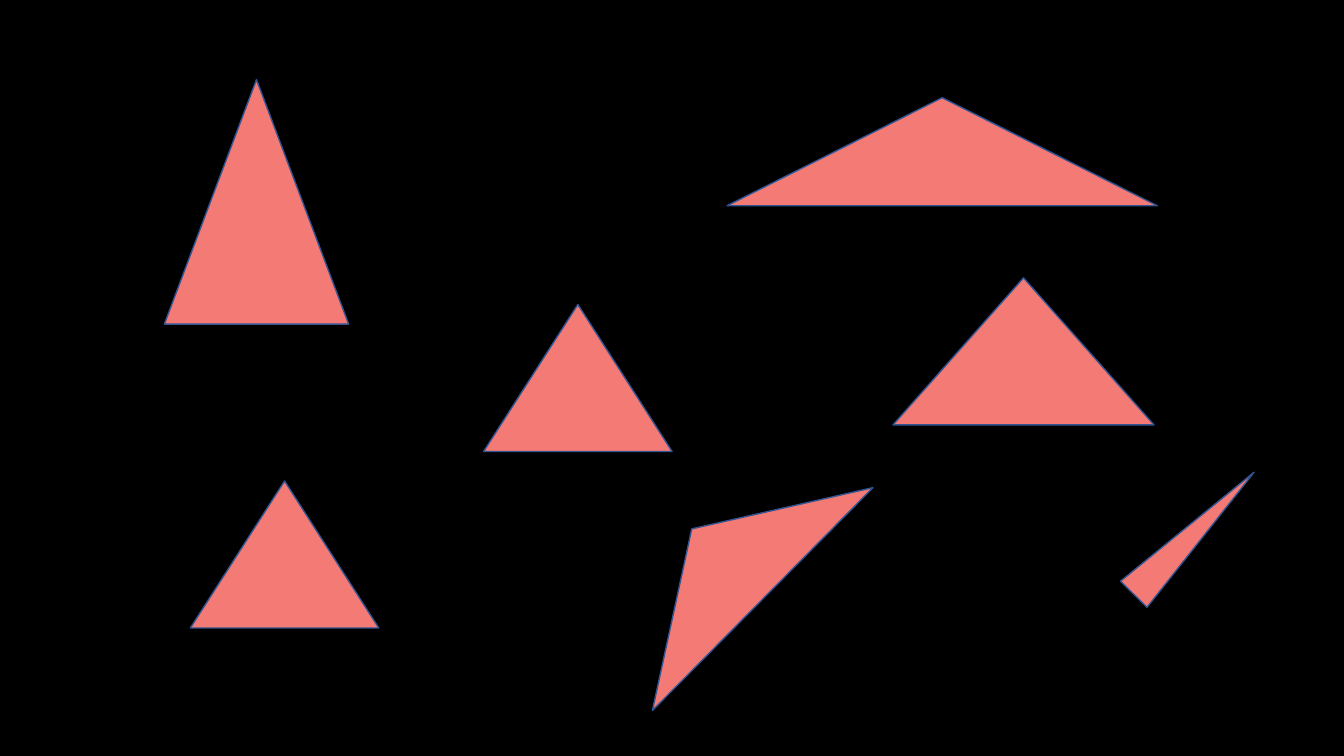
from pptx import Presentation
from pptx.dml.color import RGBColor
from pptx.enum.shapes import MSO_SHAPE as Preset
from pptx.util import Pt

BLACK = RGBColor(0x00, 0x00, 0x00)
CORAL = RGBColor(0xF4, 0x7A, 0x75)
NAVY = RGBColor(0x32, 0x54, 0x91)


class TrianglePage:
    """Holds the style and the current slide."""

    def __init__(self, page, fill=CORAL, outline=NAVY, line_width=1):
        self.page = page
        self.fill = fill
        self.outline = outline
        self.line_width = line_width

    def background(self, color):
        fill = self.page.background.fill
        fill.solid()
        fill.fore_color.rgb = color

    def triangle(self, left, top, width, height, rotation=0):
        shape = self.page.shapes.add_shape(
            Preset.ISOSCELES_TRIANGLE, Pt(left), Pt(top), Pt(width), Pt(height))
        shape.rotation = rotation
        shape.shadow.inherit = False
        shape.fill.solid()
        shape.fill.fore_color.rgb = self.fill
        shape.line.color.rgb = self.outline
        shape.line.width = Pt(self.line_width)


deck = Presentation()
deck.slide_width, deck.slide_height = Pt(960), Pt(540)
blank_layout = deck.slide_layouts[6]
triangles = TrianglePage(deck.slides.add_slide(blank_layout))
triangles.background(BLACK)

# Triangles from back to front; three share a height, two a whole size
MEDIUM_HEIGHT = 105
MEDIUM_SIZE = (134.6, MEDIUM_HEIGHT)

triangles.triangle(117.4, 56.9, 131.6, 174.6)
triangles.triangle(519.3, 69.8, 307.4, 77.2)
triangles.triangle(345.5, 217.5, *MEDIUM_SIZE)
triangles.triangle(136, 343.6, *MEDIUM_SIZE)
triangles.triangle(839.5, 319.7, 26.6, 122.4, rotation=44.6)
triangles.triangle(637.9, 198.5, 186.4, MEDIUM_HEIGHT)
triangles.triangle(407.5, 367.2, 223.9, 71.3, rotation=314.7)

deck.save("out.pptx")
